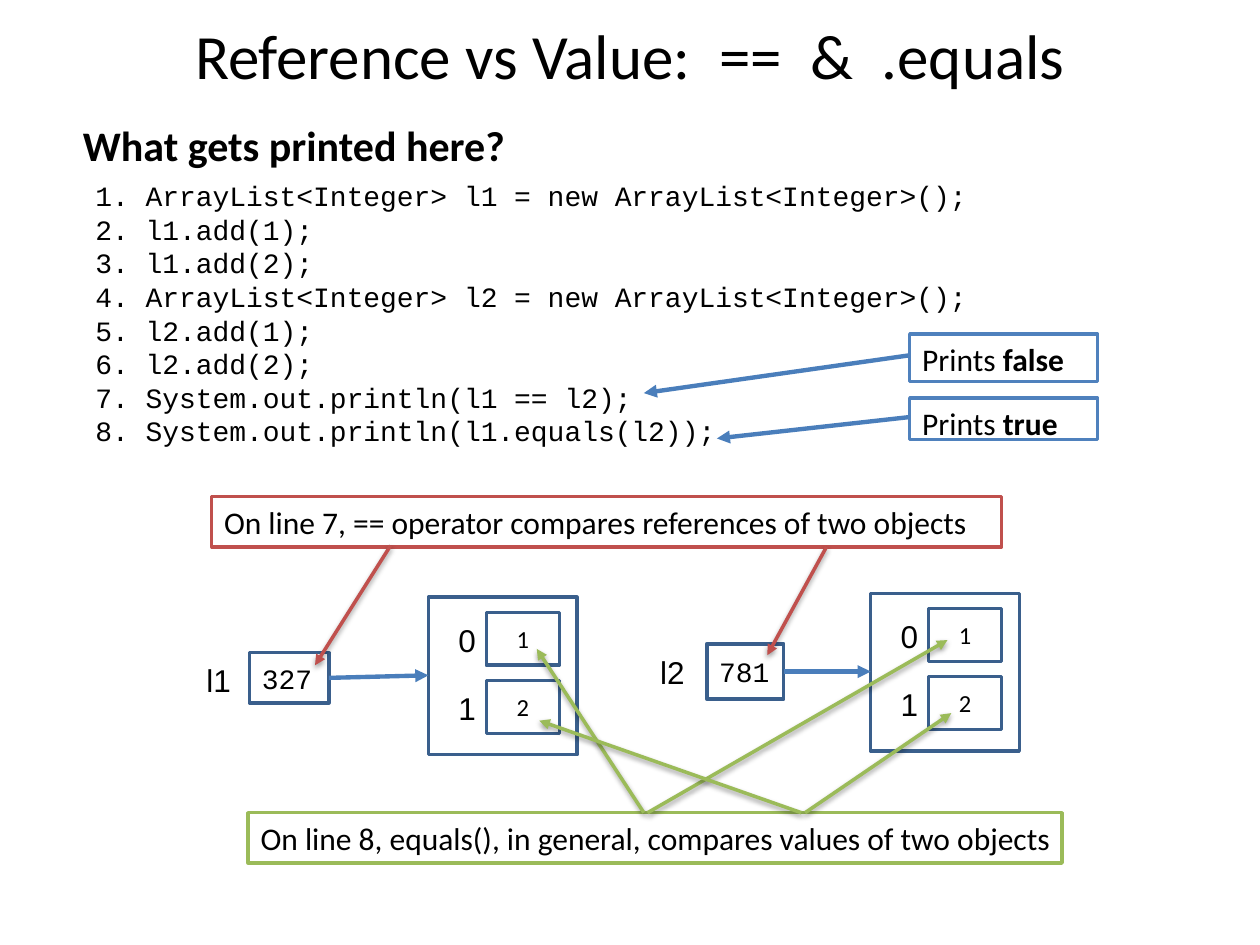
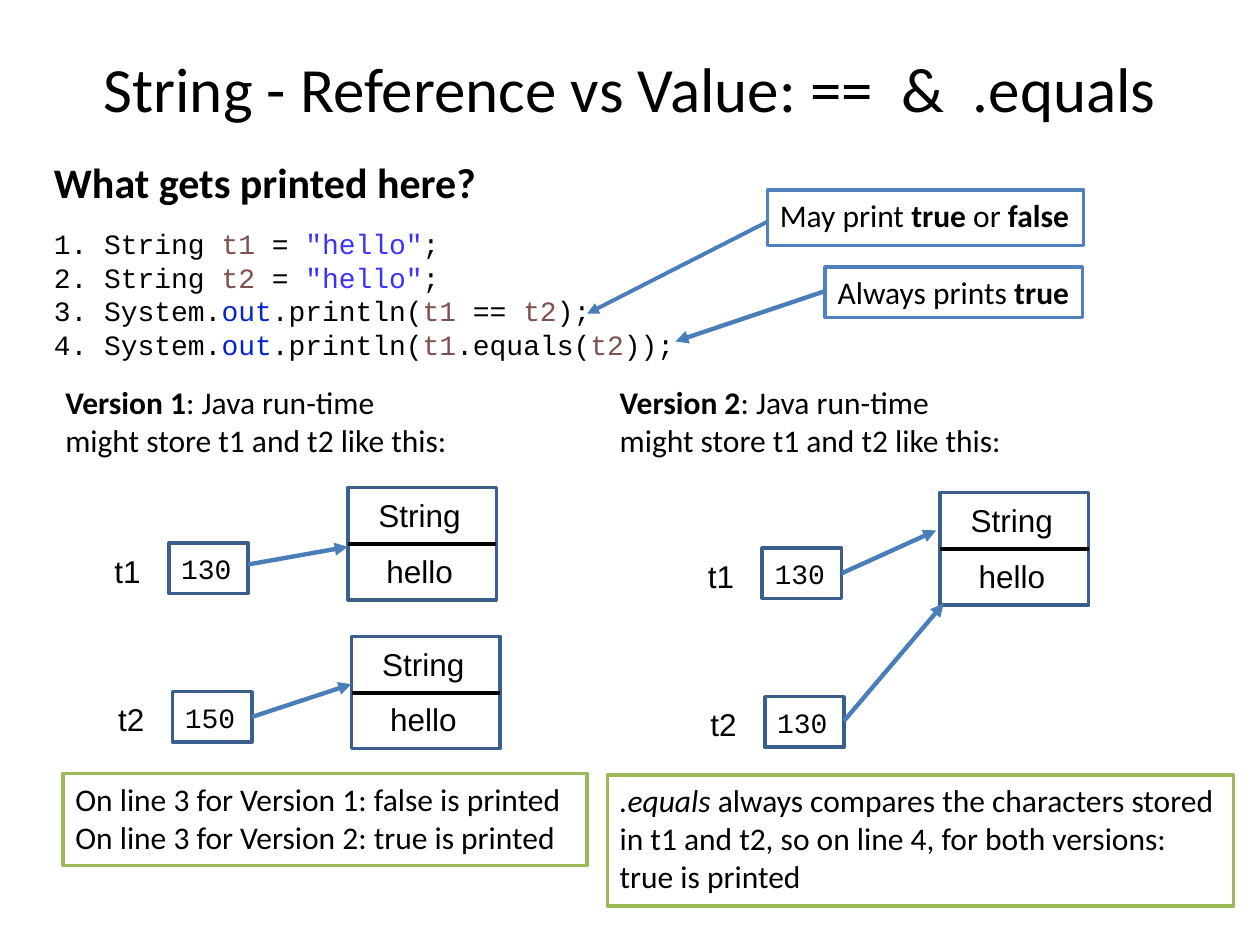
from dataclasses import dataclass

from lxml import etree
from pptx import Presentation
from pptx.dml.color import RGBColor
from pptx.enum import shapes, text
from pptx.oxml import ns
from pptx.util import Inches, Pt


@dataclass(frozen=True)
class Theme:
    # Colours
    ink: str = "000000"
    paper: str = "FFFFFF"
    memory: str = "3A5F8C"
    callout: str = "4F81BD"
    arrow: str = "4A7EBB"
    reference: str = "C0504D"
    value: str = "9BBB59"
    variable: str = "7E504F"
    literal: str = "3933FF"
    field: str = "0326CC"
    # Fonts
    body: str = "Calibri"
    label: str = "Arial"
    code: str = "Courier New"
    # Type sizes and line widths in points
    title_size: int = 36
    heading_size: int = 24
    body_size: int = 18
    code_size: int = 16
    cell_size: int = 14
    outline: float = 2
    pointer: float = 2.5
    divider: float = 2.25


THEME = Theme()


def rgb(value):
    return RGBColor.from_string(value)


# Styled spans: (text, style) pairs; plain strings keep the paragraph style
def bold(words):
    return words, {"bold": True}


def italic(words):
    return words, {"italic": True}


def variable(words):
    return words, {"color": THEME.variable}


def literal(words):
    return words, {"color": THEME.literal}


def field(words):
    return words, {"color": THEME.field}


def write(shape, lines, size=THEME.body_size, font=THEME.body, is_bold=None,
          align=text.PP_ALIGN.LEFT, anchor=text.MSO_ANCHOR.TOP, wrap=False):
    """Fill a shape with lines, each a string or a list of spans."""
    frame = shape.text_frame
    frame.word_wrap = wrap
    frame.vertical_anchor = anchor
    for number, line in enumerate(lines):
        para = frame.add_paragraph() if number else frame.paragraphs[0]
        para.alignment = align
        para.font.size = Pt(size)
        para.font.name = font
        para.font.bold = is_bold
        para.font.color.rgb = rgb(THEME.ink)
        for part in [line] if isinstance(line, str) else line:
            words, style = (part, {}) if isinstance(part, str) else part
            span = para.add_run()
            span.text = words
            span.font.bold = style.get("bold")
            span.font.italic = style.get("italic")
            if "color" in style:
                span.font.color.rgb = rgb(style["color"])


def add_text(page, area, lines, **style):
    box = page.shapes.add_textbox(*map(Inches, area))
    write(box, lines, **style)


def add_box(page, area, color, fill=None):
    box = page.shapes.add_shape(shapes.MSO_SHAPE.RECTANGLE, *map(Inches, area))
    box.shadow.inherit = False
    if fill:
        box.fill.solid()
        box.fill.fore_color.rgb = rgb(fill)
    else:
        box.fill.background()
    box.line.color.rgb = rgb(color)
    box.line.width = Pt(THEME.outline)
    return box


def add_note(page, area, color, lines):
    write(add_box(page, area, color, THEME.paper), lines)


def add_line(page, start, end, color, width):
    line = page.shapes.add_connector(
        shapes.MSO_CONNECTOR.STRAIGHT, *map(Inches, (*start, *end)))
    line.line.color.rgb = rgb(color)
    line.line.width = Pt(width)
    effects = etree.SubElement(line._element.spPr, ns.qn("a:effectLst"))
    return line, effects


def add_arrow(page, start, end, color=THEME.arrow, width=THEME.pointer):
    line, effects = add_line(page, start, end, color, width)
    etree.SubElement(line.line._get_or_add_ln(), ns.qn("a:tailEnd"), type="triangle")
    return effects


def add_shadowed_arrow(page, start, end, color):
    effects = add_arrow(page, start, end, color, THEME.outline)
    shadow = etree.SubElement(
        effects, ns.qn("a:outerShdw"), blurRad=str(Pt(3.1)), dist=str(Pt(1.6)),
        dir="5400000", rotWithShape="0")
    tint = etree.SubElement(shadow, ns.qn("a:srgbClr"), val=THEME.ink)
    etree.SubElement(tint, ns.qn("a:alpha"), val="38000")


def add_heading(page, title, title_area, question_at):
    add_text(page, title_area, [title], size=THEME.title_size, wrap=True,
             align=text.PP_ALIGN.CENTER, anchor=text.MSO_ANCHOR.MIDDLE)
    add_text(page, (*question_at, 3.8, 0.47), ["What gets printed here?"],
             size=THEME.heading_size, is_bold=True, wrap=True)


def add_code(page, area, lines):
    add_text(page, area, lines, size=THEME.code_size, font=THEME.code, wrap=True)


def add_variable(page, name, address, left, top, width=0.63, height=0.4, gap=0.53):
    """A variable name beside the box that holds its address."""
    add_text(page, (left - gap, top + 0.02, 0.5, 0.4), [name], font=THEME.label)
    box = add_box(page, (left, top, width, height), THEME.memory)
    write(box, [address], size=THEME.code_size, font=THEME.code,
          anchor=text.MSO_ANCHOR.MIDDLE)


def add_list_object(page, left, top, values):
    """An ArrayList drawn as indexed cells."""
    add_box(page, (left, top, 1.18, 1.25), THEME.memory)
    for index, value in enumerate(values):
        row = top + 0.12 + 0.54 * index
        add_text(page, (left + 0.14, row + 0.02, 0.34, 0.4), [str(index)],
                 font=THEME.label)
        cell = add_box(page, (left + 0.46, row, 0.58, 0.42), THEME.memory)
        write(cell, [value], size=THEME.cell_size, wrap=True,
              align=text.PP_ALIGN.CENTER, anchor=text.MSO_ANCHOR.MIDDLE)


def add_string_object(page, left, top):
    """A String object: its class above, its characters below."""
    width = 1.18
    add_box(page, (left, top, width, 0.89), THEME.memory)
    for offset, words in ((0.02, "String"), (0.46, "hello")):
        add_text(page, (left - 0.02, top + offset, width, 0.4), [words],
                 font=THEME.label, align=text.PP_ALIGN.CENTER, wrap=True)
    middle = top + 0.45
    add_line(page, (left, middle), (left + width, middle), THEME.ink, THEME.divider)


def build_list_page(page):
    add_heading(page, "Reference vs Value:  ==  &  .equals",
                (0.5, -0.01, 9, 0.88), (0.56, 0.9))
    add_code(page, (0.66, 1.37, 8.06, 2.24), [
        "1. ArrayList<Integer> l1 = new ArrayList<Integer>();",
        "2. l1.add(1);",
        "3. l1.add(2);",
        "4. ArrayList<Integer> l2 = new ArrayList<Integer>();",
        "5. l2.add(1);",
        "6. l2.add(2);",
        "7. System.out.println(l1 == l2);",
        "8. System.out.println(l1.equals(l2));",
    ])

    # Printed results
    add_arrow(page, (7.22, 3.31), (5.69, 3.48))
    add_note(page, (7.22, 3.16, 1.49, 0.33), THEME.callout, [["Prints ", bold("true")]])
    add_arrow(page, (7.22, 2.82), (5.11, 3.12))
    add_note(page, (7.22, 2.65, 1.49, 0.38), THEME.callout, [["Prints ", bold("false")]])

    # Variables and the lists they refer to
    add_variable(page, "l1", "327", 1.98, 5.18, gap=0.44)
    add_list_object(page, 3.4, 4.74, "12")
    add_arrow(page, (2.61, 5.38), (3.4, 5.36))
    add_variable(page, "l2", "781", 5.61, 5.11, width=0.61, height=0.44, gap=0.47)
    add_list_object(page, 6.91, 4.71, "12")
    add_arrow(page, (6.22, 5.33), (6.91, 5.33))

    # What each comparison looks at
    add_note(page, (1.68, 3.94, 6.27, 0.4), THEME.reference,
             ["On line 7, == operator compares references of two objects"])
    add_note(page, (1.97, 6.45, 6.46, 0.4), THEME.value,
             ["On line 8, equals(), in general, compares values of two objects"])
    for start, end in (((3.1, 4.33), (2.5, 5.28)), ((6.56, 4.34), (6.09, 5.2))):
        add_shadowed_arrow(page, start, end, THEME.reference)
    for start, end in (((5.11, 6.45), (4.26, 5.15)), ((5.14, 6.45), (7.52, 5.08)),
                       ((6.36, 6.45), (4.28, 5.72)), ((6.39, 6.45), (7.55, 5.66))):
        add_shadowed_arrow(page, start, end, THEME.value)


def build_string_page(page):
    add_heading(page, "String - Reference vs Value: ==  &  .equals",
                (0.5, 0.07, 9, 1.25), (0.33, 1.19))
    t1, t2, hello, out = variable("t1"), variable("t2"), literal('"hello"'), field("out")
    add_code(page, (0.33, 1.75, 5.28, 1.23), [
        ["1. String ", t1, " = ", hello, ";"],
        ["2. String ", t2, " = ", hello, ";"],
        ["3. System.", out, ".println(", t1, " == ", t2, ");"],
        ["4. System.", out, ".println(", t1, ".equals(", t2, "));"],
    ])

    # Printed results
    add_note(page, (6.09, 1.51, 2.51, 0.44), THEME.callout,
             [["May print ", bold("true"), " or ", bold("false")]])
    add_note(page, (6.55, 2.12, 2.04, 0.4), THEME.callout,
             [["Always prints ", bold("true")]])
    add_arrow(page, (6.09, 1.76), (4.66, 2.49), width=THEME.divider)
    add_arrow(page, (6.55, 2.31), (5.36, 2.71))

    # Two possible memory layouts
    for number, left in ((1, 0.42), (2, 4.82)):
        add_text(page, (left, 2.99, 4.1, 0.72), [
            [bold(f"Version {number}"), ": Java run-time"],
            "might store t1 and t2 like this:",
        ])
    for name, address, left, top in (("t1", "130", 1.34, 4.31), ("t2", "150", 1.37, 5.49),
                                     ("t1", "130", 6.05, 4.35), ("t2", "130", 6.07, 5.53)):
        add_variable(page, name, address, left, top)
    for left, top in ((2.76, 3.87), (2.79, 5.05), (7.46, 3.91)):
        add_string_object(page, left, top)
    for start, end in (((1.97, 4.48), (2.76, 4.34)), ((2, 5.69), (2.79, 5.43)),
                       ((6.68, 4.55), (7.43, 4.21)), ((6.7, 5.72), (7.49, 4.79))):
        add_arrow(page, start, end)

    # Conclusions
    add_note(page, (0.5, 6.14, 4.16, 0.73), THEME.value, [
        "On line 3 for Version 1: false is printed",
        "On line 3 for Version 2: true is printed",
    ])
    add_note(page, (4.82, 6.15, 4.97, 1.04), THEME.value, [
        [italic(".equals"), " always compares the characters stored"],
        "in t1 and t2, so on line 4, for both versions:",
        "true is printed",
    ])


def main():
    deck = Presentation()
    deck.slide_width, deck.slide_height = Inches(10), Inches(7.5)
    for build in (build_list_page, build_string_page):
        build(deck.slides.add_slide(deck.slide_layouts[6]))
    deck.save("out.pptx")


if __name__ == "__main__":
    main()
